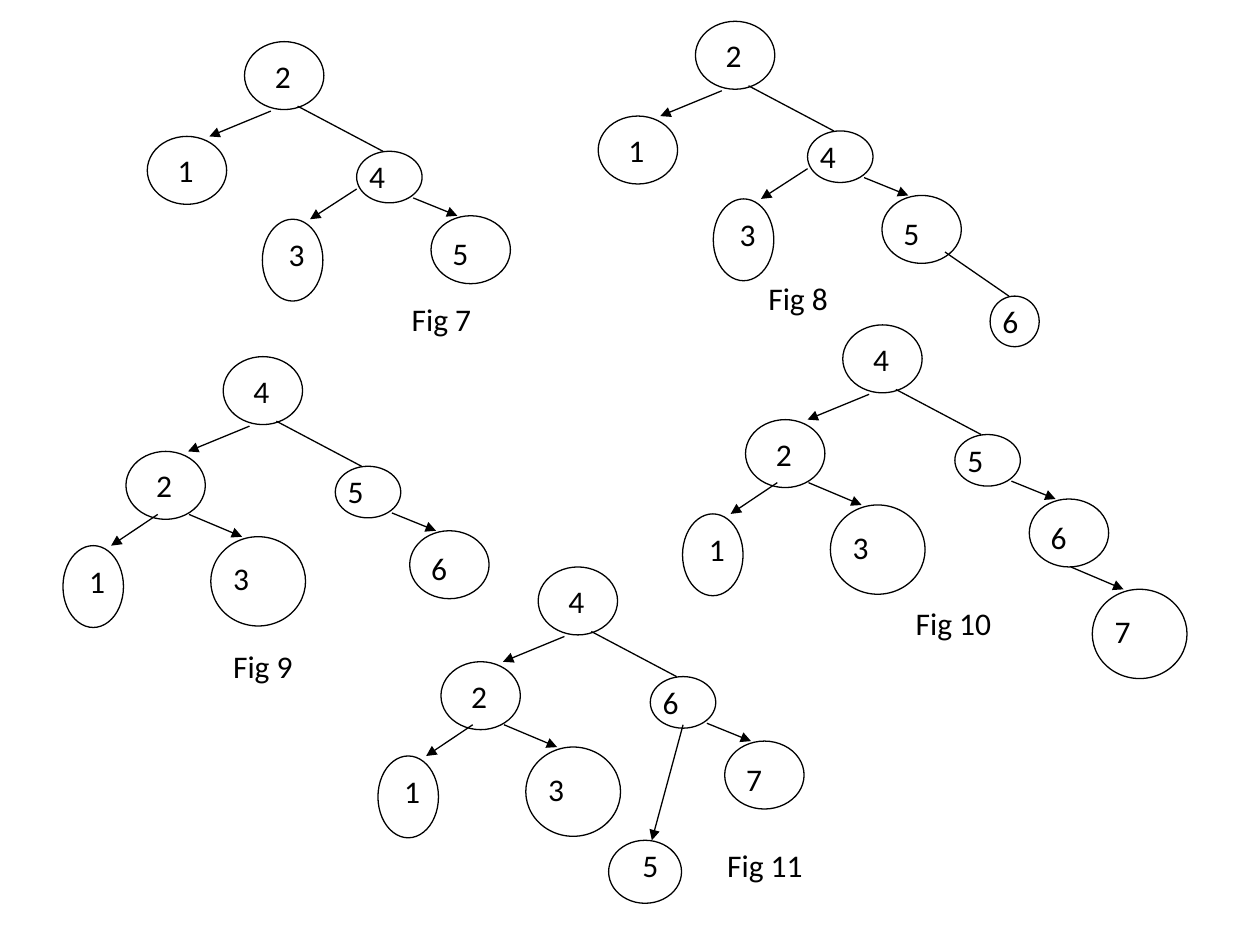
from dataclasses import dataclass
from typing import NamedTuple, Optional

from lxml import etree
from pptx import Presentation
from pptx.dml.color import RGBColor
from pptx.enum.shapes import MSO_CONNECTOR, MSO_SHAPE
from pptx.enum.text import MSO_ANCHOR, PP_ALIGN
from pptx.oxml.ns import qn
from pptx.util import Cm, Pt

ELLIPSE = MSO_SHAPE.OVAL
STRAIGHT = MSO_CONNECTOR.STRAIGHT
TOP = MSO_ANCHOR.TOP
LEFT = PP_ALIGN.LEFT

COLORS = {"ink": "000000"}
FONT = "Calibri"
LINE_WIDTH = Pt(0.75)
BLANK_LAYOUT = 6


class Point(NamedTuple):
    x: float
    y: float


class NodeStyle(NamedTuple):
    """Ellipse size, and the label box relative to the ellipse, in cm."""
    width: float
    height: float
    label_dx: float
    label_dy: float
    label_width: float
    label_height: float = 1.02


class Edge(NamedTuple):
    start: Point
    end: Point
    arrow: bool = True


class Slot(NamedTuple):
    """A place in a tree, in cm from the corner of its root."""
    corner: Point
    style: NodeStyle
    edge: Optional[Edge] = None


@dataclass
class Tree:
    caption: str
    origin: Point
    caption_offset: Point
    keys: dict[str, str]


# Node styles
ROOT = NodeStyle(1.6, 1.37, 0.36, 0.18, 2.84)
INNER = NodeStyle(1.6, 1.37, 0.36, 0.18, 1.78)
FLAT = NodeStyle(1.32, 1.04, 0, 0, 1.32, 1.27)
OUTER = NodeStyle(1.6, 1.37, 0.18, 0.25, 2.13)
TALL = NodeStyle(1.22, 1.65, 0.28, 0.2, 1.37)
LARGE = NodeStyle(1.91, 1.8, 0.2, 0.33, 2.54)
SMALL = NodeStyle(0.99, 1.02, 0, 0, 0.99, 1.27)
LOW = NodeStyle(1.47, 1.27, 0.43, 0, 2.11)

# Places that the trees share
SLOTS = {
    "root": Slot(Point(0, 0), ROOT),
    "left": Slot(Point(-1.96, 1.91), INNER,
                 Edge(Point(0.53, 1.4), Point(-0.71, 1.91))),
    "right": Slot(Point(2.26, 2.21), FLAT,
                  Edge(Point(1.07, 1.3), Point(2.79, 2.21), arrow=False)),
    "left-left": Slot(Point(-3.23, 3.81), TALL,
                      Edge(Point(-1.32, 3.18), Point(-2.26, 3.81))),
    "left-right": Slot(Point(-0.25, 3.63), LARGE,
                       Edge(Point(-0.69, 3.18), Point(0.38, 3.63))),
    "right-left": Slot(Point(0.36, 3.58), TALL,
                       Edge(Point(2.26, 2.97), Point(1.32, 3.58))),
    "right-left low": Slot(Point(1.42, 5.51), LOW,
                           Edge(Point(2.92, 3.18), Point(2.29, 5.51))),
    "right-right": Slot(Point(3.76, 3.51), OUTER,
                        Edge(Point(3.4, 3.15), Point(4.29, 3.51))),
    "last small": Slot(Point(5.94, 5.54), SMALL,
                       Edge(Point(5.03, 4.65), Point(6.32, 5.54), arrow=False)),
    "last large": Slot(Point(5.03, 5.33), LARGE,
                       Edge(Point(4.6, 4.88), Point(5.66, 5.33))),
}

LEFT_SUBTREE = {"left": "2", "left-left": "1", "left-right": "3"}
FIRST_FIVE = {"root": "2", "left": "1", "right": "4",
              "right-left": "3", "right-right": "5"}
FIRST_SIX = {"root": "4", **LEFT_SUBTREE, "right": "5", "right-right": "6"}

TREES = [
    Tree("Fig 7", Point(4.93, 0.84), Point(3.12, 5.08), FIRST_FIVE),
    Tree("Fig 8", Point(14.02, 0.43), Point(1.22, 5.08),
         {**FIRST_FIVE, "last small": "6"}),
    Tree("Fig 9", Point(4.5, 7.19), Point(-0.05, 5.72), FIRST_SIX),
    Tree("Fig 10", Point(16.99, 6.55), Point(1.22, 5.51),
         {**FIRST_SIX, "last large": "7"}),
    Tree("Fig 11", Point(10.85, 11.43), Point(3.56, 5.51),
         {"root": "4", **LEFT_SUBTREE, "right": "6",
          "right-right": "7", "right-left low": "5"}),
]


def shift(origin: Point, offset: Point) -> Point:
    return Point(origin.x + offset.x, origin.y + offset.y)


def add_text(slide, text: str, corner: Point, width: float, height: float, *,
             size: float = 18, color: str = "ink") -> None:
    box = slide.shapes.add_textbox(Cm(corner.x), Cm(corner.y), Cm(width), Cm(height))
    frame = box.text_frame
    frame.word_wrap = True
    frame.vertical_anchor = TOP
    paragraph = frame.paragraphs[0]
    paragraph.alignment = LEFT
    run = paragraph.add_run()
    run.text = text
    run.font.name = FONT
    run.font.size = Pt(size)
    run.font.color.rgb = RGBColor.from_string(COLORS[color])


def format_line(line) -> None:
    line.color.rgb = RGBColor.from_string(COLORS["ink"])
    line.width = LINE_WIDTH


def add_edge(slide, origin: Point, edge: Edge) -> None:
    start, end = shift(origin, edge.start), shift(origin, edge.end)
    connector = slide.shapes.add_connector(
        STRAIGHT, Cm(start.x), Cm(start.y), Cm(end.x), Cm(end.y))
    format_line(connector.line)
    if edge.arrow:
        etree.SubElement(connector.line._get_or_add_ln(), qn("a:tailEnd"),
                         type="triangle")
    etree.SubElement(connector._element.spPr, qn("a:effectLst"))


def add_node(slide, origin: Point, slot: Slot, key: str) -> None:
    corner, style = shift(origin, slot.corner), slot.style
    node = slide.shapes.add_shape(ELLIPSE, Cm(corner.x), Cm(corner.y),
                                  Cm(style.width), Cm(style.height))
    node.shadow.inherit = False
    node.fill.background()
    format_line(node.line)
    add_text(slide, key, shift(corner, Point(style.label_dx, style.label_dy)),
             style.label_width, style.label_height)
    if slot.edge:
        add_edge(slide, origin, slot.edge)


def add_tree(slide, tree: Tree) -> None:
    for place, key in tree.keys.items():
        add_node(slide, tree.origin, SLOTS[place], key)
    add_text(slide, tree.caption, shift(tree.origin, tree.caption_offset), 3.18, 1.02)


def main() -> None:
    presentation = Presentation()
    presentation.slide_width = Cm(25.4)
    presentation.slide_height = Cm(19.05)
    slide = presentation.slides.add_slide(presentation.slide_layouts[BLANK_LAYOUT])
    for tree in TREES:
        add_tree(slide, tree)
    presentation.save("out.pptx")


if __name__ == "__main__":
    main()
